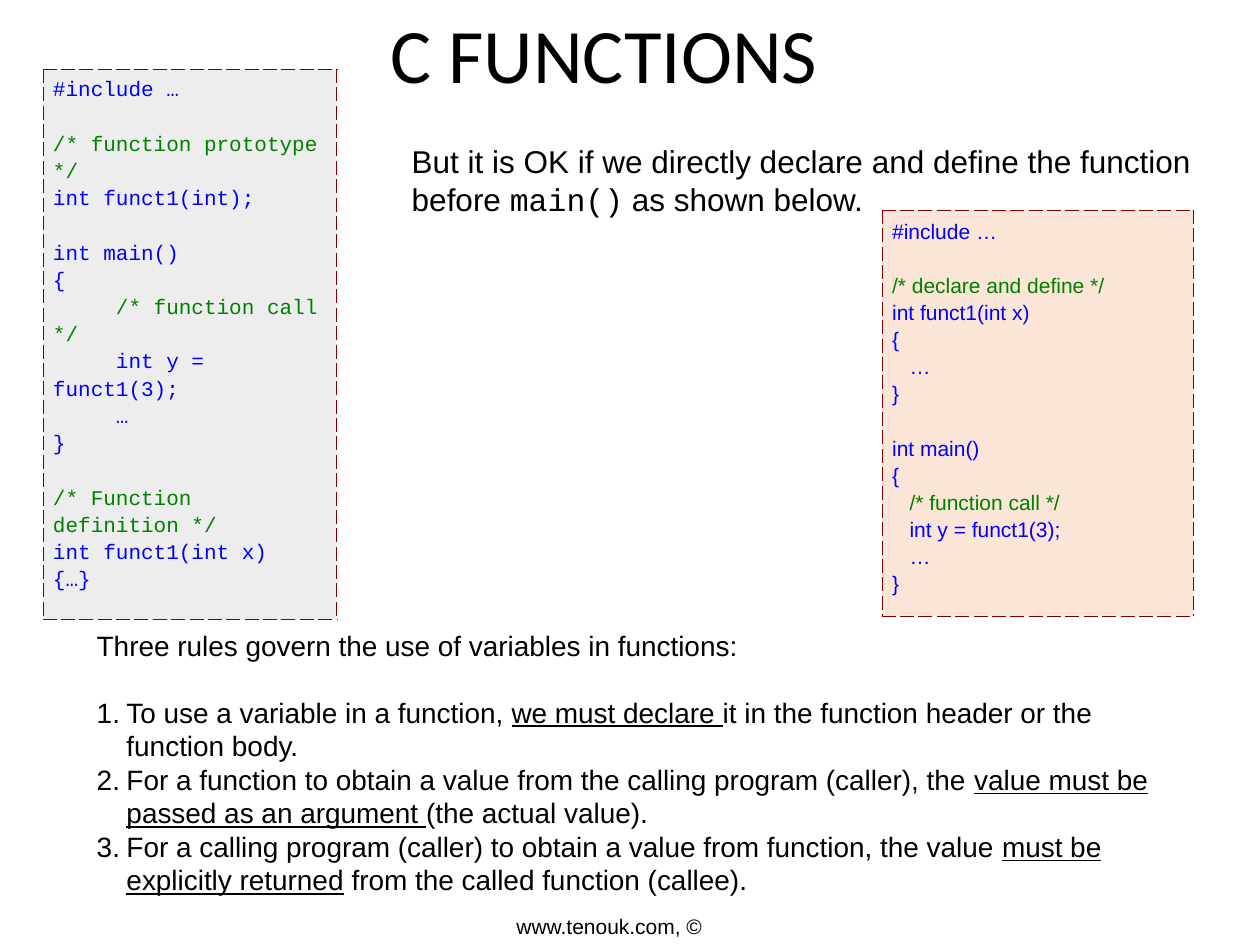
import pptx
import pptx.util
import pptx.dml.color
import pptx.enum.text
import pptx.oxml
import pptx.oxml.ns

Pt = pptx.util.Pt
RGB = pptx.dml.color.RGBColor
ALIGN = pptx.enum.text.PP_ALIGN
ANCHOR = pptx.enum.text.MSO_ANCHOR

BLACK = RGB(0, 0, 0)
BLUE = RGB(0, 0, 255)
GREEN = RGB(0, 128, 0)
MAROON = RGB(128, 0, 0)
GREY = RGB(237, 237, 237)
PEACH = RGB(251, 229, 214)
MONO = "Courier New"

# Content: code panels as box, fill, font, source
PANELS = [
    ((24.5, 39.6, 167.8, 314.6), GREY, MONO, """\
#include …

/* function prototype */
int funct1(int);

int main()
{
     /* function call */
     int y = funct1(3);
     …
}

/* Function definition */
int funct1(int x)
{…}"""),
    ((504, 120.2, 177.8, 231.8), PEACH, "Arial", """\
#include …

/* declare and define */
int funct1(int x)
{
   …
}

int main()
{
   /* function call */
   int y = funct1(3);
   …
}"""),
]

# Runs are (text, font changes)
LINE = {"underline": True}
NOTE = [[("But it is OK if we directly declare and define the function before ", {}),
         ("main()", {"name": MONO}),
         (" as shown below.", {})]]
RULES = [
    [("Three rules govern the use of variables in functions:", {})],
    [("To use a variable in a function, ", {}),
     ("we must declare ", LINE),
     ("it in the function header or the function body.", {})],
    [("For a function to obtain a value from the calling program (caller), the ", {}),
     ("value must be passed as an argument ", LINE),
     ("(the actual value).", {})],
    [("For a calling program (caller) to obtain a value from function, the value ", {}),
     ("must be explicitly returned", LINE),
     (" from the called function (callee).", {})],
]
SITE = [[("www.tenouk.com, ©", {})]]
TITLE = [[("C FUNCTIONS", {})]]

deck = pptx.Presentation()
deck.slide_width, deck.slide_height = Pt(720), Pt(540)
slide = deck.slides.add_slide(deck.slide_layouts[6])


def style(font, look):
    for key, value in look.items():
        if key == "color":
            font.color.rgb = value
        else:
            setattr(font, key, value)


def fill_text(frame, paras, look):
    for i, runs in enumerate(paras):
        para = frame.paragraphs[0] if i == 0 else frame.add_paragraph()
        for text, diff in runs:
            run = para.add_run()
            run.text = text
            style(run.font, {**look, **diff})


def add_text(box, paras, size, name="Arial", anchor=ANCHOR.TOP):
    frame = slide.shapes.add_textbox(*map(Pt, box)).text_frame
    frame.word_wrap = True
    frame.vertical_anchor = anchor
    fill_text(frame, paras, {"size": Pt(size), "name": name, "color": BLACK})
    return frame


def add_edges(cell):
    props = cell._tc.get_or_add_tcPr()
    for side in "LRTB":
        props.append(pptx.oxml.parse_xml(
            f'<a:ln{side} {pptx.oxml.ns.nsdecls("a")} w="{Pt(0.45)}">'
            f'<a:solidFill><a:srgbClr val="{MAROON}"/></a:solidFill>'
            f'<a:prstDash val="dash"/></a:ln{side}>'))


def add_panel(box, fill, name, code):
    table = slide.shapes.add_table(1, 1, *map(Pt, box)).table
    table.first_row = table.horz_banding = False
    cell = table.cell(0, 0)
    cell.margin_left = cell.margin_right = Pt(5.8)
    cell.margin_top = cell.margin_bottom = Pt(3.6)
    add_edges(cell)
    cell.fill.solid()
    cell.fill.fore_color.rgb = fill
    lines = code.split("\n")
    shown = [line for line in lines if line]
    paras = [[(line, {"color": GREEN if "/*" in line else BLUE})] for line in shown]
    fill_text(cell.text_frame, paras, {"size": Pt(12), "name": name})
    # An empty code line becomes space above the next one
    after = [i > 0 and not lines[i - 1] for i, line in enumerate(lines) if line]
    for para, gap in zip(cell.text_frame.paragraphs, after):
        para.line_spacing = 1.15
        if gap:
            para.space_before = Pt(15.6)


# Code panels
for panel in PANELS:
    add_panel(*panel)

# Note above the right panel
add_text((228.2, 77.8, 473.8, 50.4), NOTE, 18)

# Numbered rules
rules = add_text((48.2, 355, 642.2, 161.3), RULES, 16, anchor=ANCHOR.MIDDLE)
items = rules.paragraphs[1:]
for item in items:
    props = item._p.get_or_add_pPr()
    props.set("marL", str(Pt(17)))
    props.set("indent", str(-Pt(17)))
    props.append(pptx.oxml.parse_xml(
        f'<a:buAutoNum {pptx.oxml.ns.nsdecls("a")} type="arabicPeriod"/>'))
items[0].space_before = Pt(19)

# Footer and title
add_text((288, 518.4, 126, 21.6), SITE, 12)
title = add_text((192.2, 0, 306, 60.5), TITLE, 44, "Calibri", ANCHOR.MIDDLE)
title.paragraphs[0].alignment = ALIGN.CENTER

deck.save("out.pptx")
